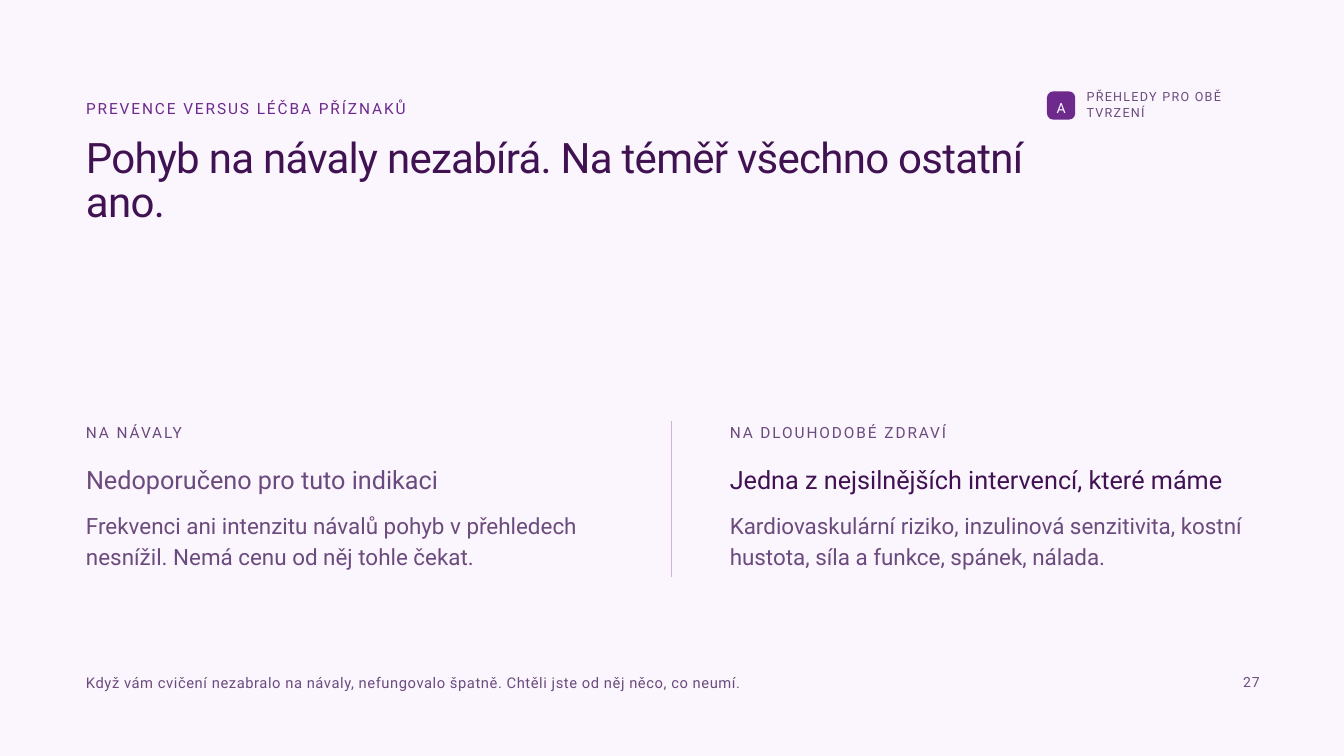
"""Build the slide comparing exercise for hot flushes with exercise for long-term health."""
from pptx import Presentation
from pptx.dml.color import RGBColor
from pptx.enum.shapes import MSO_CONNECTOR, MSO_SHAPE
from pptx.enum.text import MSO_ANCHOR, PP_ALIGN
from pptx.oxml.ns import qn
from pptx.util import Inches, Pt
from lxml.etree import SubElement

PURPLE = "6D2A8C"
DARK = "401252"
MUTED = "6B4B7D"
LEFT_EDGE = 1.28


def color(value):
    return RGBColor.from_string(value)


def write(shape, text, size, fill, leading, tracking=0):
    frame = shape.text_frame
    frame.word_wrap = True
    frame.margin_left = frame.margin_right = frame.margin_top = frame.margin_bottom = 0
    para = frame.paragraphs[0]
    para.line_spacing = Pt(leading)
    para.font.name = "Roboto"
    para.font.size = Pt(size)
    para.font.color.rgb = color(fill)
    span = para.add_run()
    span.text = text
    if tracking:
        span._r.get_or_add_rPr().set("spc", str(round(tracking * 100)))
    return para


deck = Presentation()
deck.slide_width = Inches(20)
deck.slide_height = Inches(11.25)
page = deck.slides.add_slide(deck.slide_layouts[6])
page.background.fill.solid()
page.background.fill.fore_color.rgb = color("FBF5FE")

texts = [
    (LEFT_EDGE, 1.41, 5.42, 0.43, "PREVENCE VERSUS LÉČBA PŘÍZNAKŮ", 16.5, PURPLE, 24.8, 2.1),
    (LEFT_EDGE, 2.05, 14.97, 1.37, "Pohyb na návaly nezabírá. Na téměř všechno ostatní ano.",
     45, DARK, 47.4, -0.8),
    (16.17, 1.32, 2.63, 0.51, "PŘEHLEDY PRO OBĚ TVRZENÍ", 13.5, MUTED, 16.8, 1.4),
    (LEFT_EDGE, 9.97, 14.84, 0.38,
     "Když vám cvičení nezabralo na návaly, nefungovalo špatně. Chtěli jste od něj něco, co neumí.",
     15.8, MUTED, 22.8, 0.6),
    (18.5, 9.96, 0.3, 0.39, "27", 15, MUTED, 22.4, 0.9),
]

columns = [
    (LEFT_EDGE, "NA NÁVALY", "Nedoporučeno pro tuto indikaci", MUTED,
     "Frekvenci ani intenzitu návalů pohyb v přehledech nesnížil. Nemá cenu od něj tohle čekat."),
    (10.86, "NA DLOUHODOBÉ ZDRAVÍ", "Jedna z nejsilnějších intervencí, které máme", DARK,
     "Kardiovaskulární riziko, inzulinová senzitivita, kostní hustota, síla a funkce, spánek, nálada."),
]
for left, label, verdict, verdict_color, detail in columns:
    texts += [
        (left, 6.23, 8.1, 0.43, label, 16.5, MUTED, 24.8, 2.1),
        (left, 6.94, 8.65, 0.44, verdict, 27, verdict_color, 30.1, 0),
        (left, 7.56, 8.1, 1.05, detail, 24, MUTED, 33.3, 0),
    ]

for left, top, width, height, *content in texts:
    box = page.shapes.add_textbox(Inches(left), Inches(top), Inches(width), Inches(height))
    write(box, *content)

badge = page.shapes.add_shape(
    MSO_SHAPE.ROUNDED_RECTANGLE, Inches(15.58), Inches(1.36), Inches(0.42), Inches(0.42))
badge.adjustments[0] = 0.22
badge.shadow.inherit = False
badge.fill.solid()
badge.fill.fore_color.rgb = color(PURPLE)
badge.line.fill.background()
badge.text_frame.vertical_anchor = MSO_ANCHOR.MIDDLE
write(badge, "A", 15, "FFFFFF", 22.4).alignment = PP_ALIGN.CENTER

divider = page.shapes.add_connector(
    MSO_CONNECTOR.STRAIGHT, Inches(9.99), Inches(6.27), Inches(9.99), Inches(8.59))
divider.line.color.rgb = color("CDB3DC")
divider.line.width = Pt(0.75)
SubElement(divider._element.spPr, qn("a:effectLst"))

deck.save("out.pptx")
